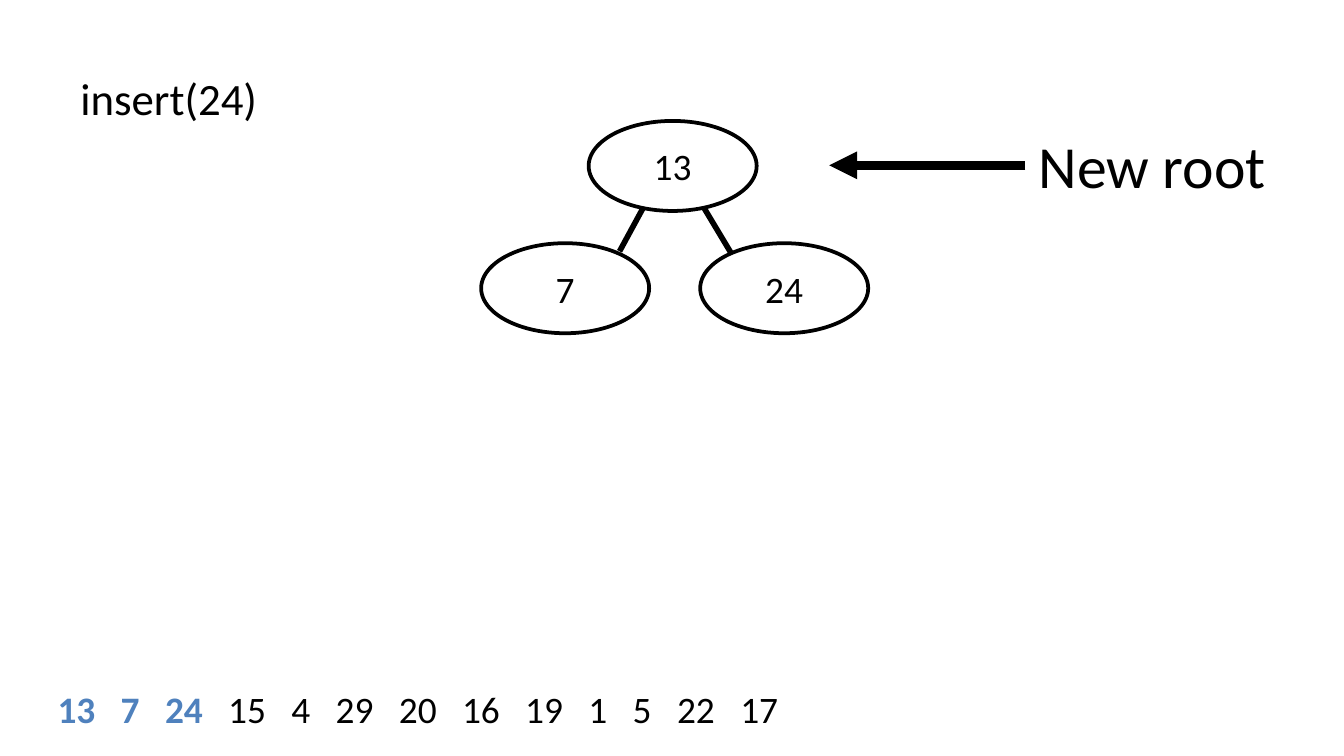
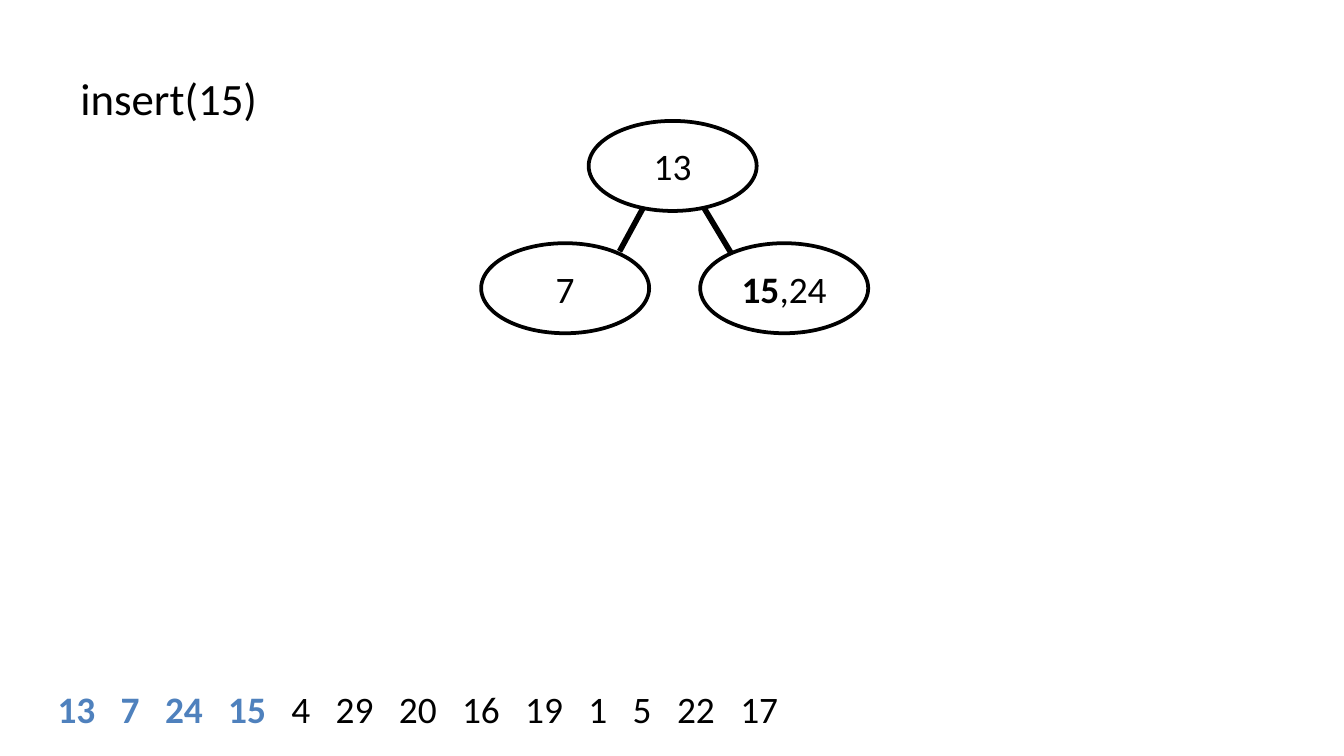
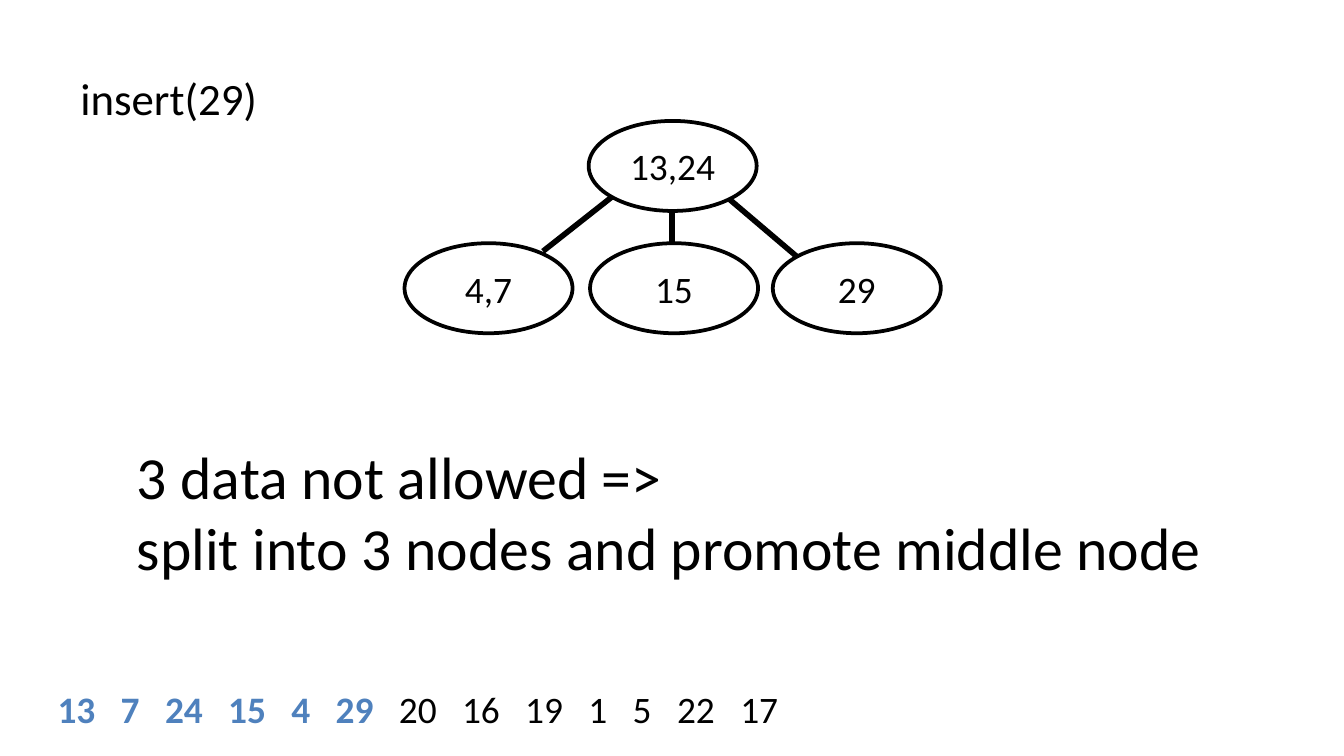
from collections import namedtuple

from pptx import Presentation
from pptx.dml.color import RGBColor as RGB
from pptx.enum.shapes import MSO_CONNECTOR as CONN, MSO_SHAPE as SHAPE
from pptx.enum.text import MSO_ANCHOR as ANCHOR, MSO_AUTO_SIZE as AUTO, PP_ALIGN as ALIGN
from pptx.oxml.ns import qn
from pptx.util import Inches, Pt
from lxml.etree import SubElement

# Shared look; the slide is a grid of 100 columns by 56.25 rows
COLORS = {"ink": "000000", "paper": "FFFFFF", "done": "4F81BD"}
FONT = "Calibri"
CELL = 0.1
COLS, ROWS = 100, 56.25
Box = namedtuple("Box", "x y w h")

HEADING = Box(5, 4.8, 15.3, 5)
SEQUENCE = Box(3.3, 50.6, 91.7, 4.4)
TREE = Box(30, 9, 40, 15.8)
ROOT_NOTE = Box(61.7, 9.1, 33.7, 6.4)
SPLIT_NOTE = Box(9.2, 32.2, 82.1, 11.8)

KEYS = [13, 7, 24, 15, 4, 29, 20, 16, 19, 1, 5, 22, 17]
DIGIT_W, KEY_GAP = 0.14, 0.19  # inches

# Tree grid, relative to the tree's box
NODE_W, NODE_H = 12.5, 6.7
ROOT_X, CHILD_Y = 13.8, 9.1
TWO_X = (5.8, 22.1)
THREE_X = (0.1, 13.9, 27.5)
TWO_EDGES = ((18, 6.2, 16.1, 9.7), (22.1, 6, 24.5, 10))
THREE_EDGES = ((15.6, 5.6, 10.4, 9.7), (20, 6, 20, 10), (23.3, 5, 29.3, 10.1))


def color(name):
    return RGB.from_string(COLORS[name])


def grid(*cells):
    return [Inches(c * CELL) for c in cells]


def style(font, size, name="ink"):
    font.name, font.size = FONT, Pt(size)
    font.color.rgb = color(name)


def add_text(s, box, lines, size, wrap=False):
    sp = s.shapes.add_textbox(*grid(*box))
    tf = sp.text_frame
    tf.word_wrap = wrap
    tf.auto_size = AUTO.SHAPE_TO_FIT_TEXT
    for i, line in enumerate(lines):
        p = tf.add_paragraph() if i else tf.paragraphs[0]
        p.text = line
        style(p.font, size)
    return sp


def add_line(s, ends, width, arrow=False):
    line = s.shapes.add_connector(CONN.STRAIGHT, *grid(*ends))
    line.line.color.rgb = color("ink")
    line.line.width = Pt(width)
    props = line.element.spPr
    if arrow:
        SubElement(props.find(qn("a:ln")), qn("a:tailEnd"), type="triangle")
    SubElement(props, qn("a:effectLst"))
    return line


def add_node(s, x, y, new, old):
    """Ellipse whose newly inserted key is bold."""
    sp = s.shapes.add_shape(SHAPE.OVAL, *grid(x, y, NODE_W, NODE_H))
    sp.shadow.inherit = False
    sp.fill.solid()
    sp.fill.fore_color.rgb = color("paper")
    sp.line.color.rgb = color("ink")
    sp.line.width = Pt(2)
    tf = sp.text_frame
    tf.vertical_anchor = ANCHOR.MIDDLE
    tf.margin_left = tf.margin_right = 0
    p = tf.paragraphs[0]
    p.alignment = ALIGN.CENTER
    style(p.font, 20)
    for text, bold in ((new, True), (old, False)):
        if text:
            r = p.add_run()
            r.text, r.font.bold = text, bold


def add_tree(s, box, root, children, new=""):
    """Root over two or three children; new goes in the last child."""
    two = len(children) == 2
    for x1, y1, x2, y2 in TWO_EDGES if two else THREE_EDGES:
        add_line(s, (box.x + x1, box.y + y1, box.x + x2, box.y + y2), 3)
    add_node(s, box.x + ROOT_X, box.y, "", root)
    last = len(children) - 1
    for i, (x, keys) in enumerate(zip(TWO_X if two else THREE_X, children)):
        add_node(s, box.x + x, box.y + CHILD_Y, new if i == last else "", keys)


def add_sequence(s, box, done):
    """Row of keys on tab stops, with those already inserted highlighted."""
    sp = s.shapes.add_textbox(*grid(*box))
    tf = sp.text_frame
    tf.word_wrap = True
    tf.auto_size = AUTO.SHAPE_TO_FIT_TEXT
    p = tf.paragraphs[0]
    stops = SubElement(p._p.get_or_add_pPr(), qn("a:tabLst"))
    pos = 0
    for key in KEYS[:-1]:
        pos += len(str(key)) * DIGIT_W + KEY_GAP
        SubElement(stops, qn("a:tab"), pos=str(Inches(pos)), algn="l")
    parts = ((KEYS[:done], "done", "\t"), (KEYS[done:], "ink", ""))
    for keys, name, end in parts:
        r = p.add_run()
        r.text = "\t".join(map(str, keys)) + end
        style(r.font, 20, name)
        r.font.bold = name == "done"


def add_root_note(s, box):
    """Label on the right with an arrow out to the box's left side."""
    arrow_w = 14.6
    label = add_text(s, Box(box.x + arrow_w, box.y, box.w - arrow_w, box.h), ["New root"], 32)
    y = box.y + box.h / 2
    arrow = add_line(s, (box.x + arrow_w, y, box.x, y), 5, arrow=True)
    arrow.begin_connect(label, 1)


def add_step(prs, key, done, root, children, new=""):
    s = prs.slides.add_slide(prs.slide_layouts[6])
    add_tree(s, TREE, root, children, new)
    add_sequence(s, SEQUENCE, done)
    add_text(s, HEADING, [f"insert({key})"], 24)
    return s


def main():
    prs = Presentation()
    prs.slide_width, prs.slide_height = grid(COLS, ROWS)

    # Third key makes a new root
    s = add_step(prs, 24, 3, "13", ["7", "24"])
    add_root_note(s, ROOT_NOTE)

    # Fourth key joins a leaf
    add_step(prs, 15, 4, "13", ["7", ",24"], new="15")

    # Sixth key splits a leaf
    s = add_step(prs, 29, 6, "13,24", ["4,7", "15", "29"])
    add_text(s, SPLIT_NOTE, ["3 data not allowed =>", "split into 3 nodes and promote middle node"], 32)

    prs.save("out.pptx")


if __name__ == "__main__":
    main()
